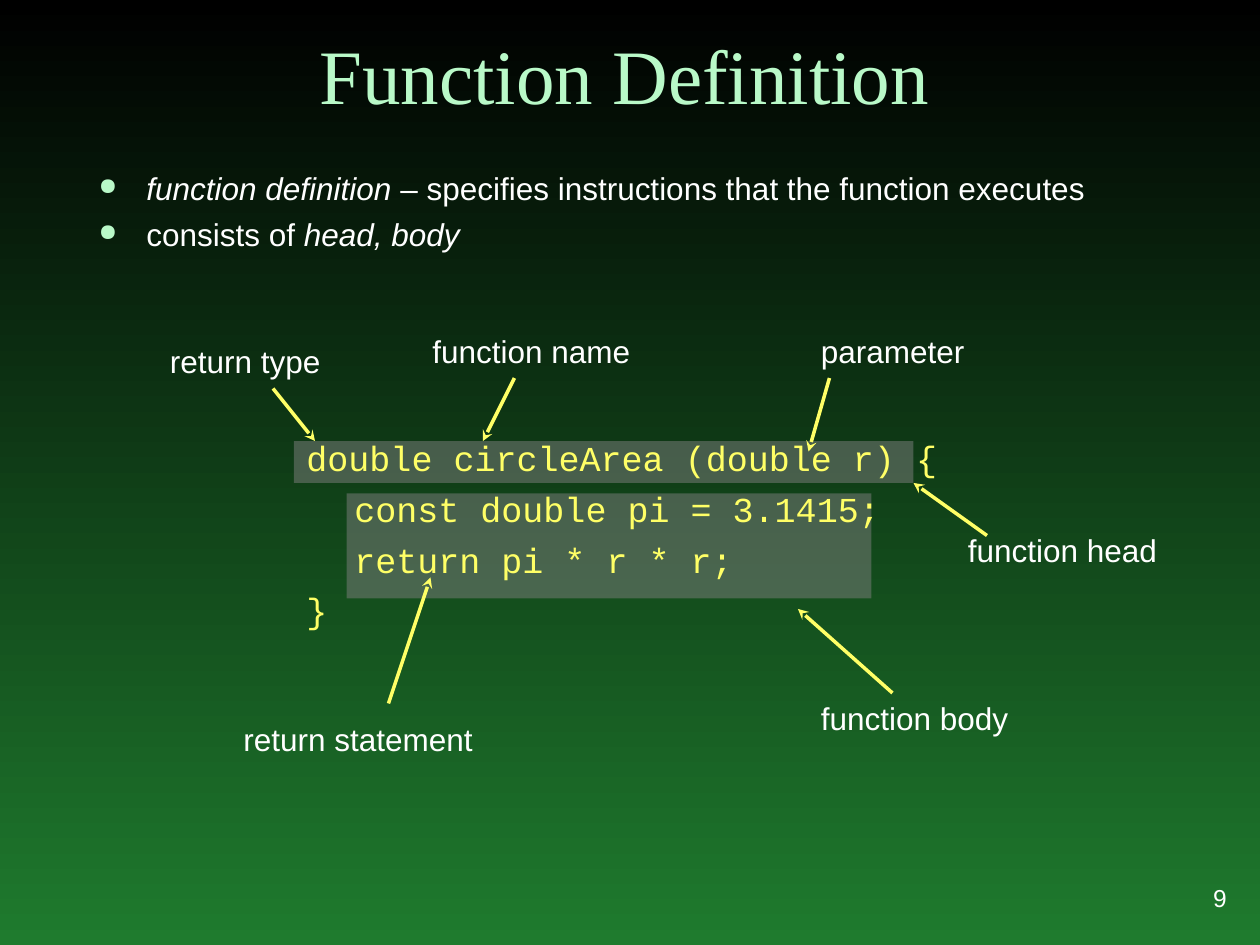
from lxml import etree
from pptx import Presentation, util as u
from pptx.dml import color
from pptx.enum import shapes, text
from pptx.oxml import ns

COLUMNS, ROWS = 120, 90
WIDTH, HEIGHT = u.Inches(10), u.Inches(7.5)
WHITE, MINT, YELLOW, GREY = "FFFFFF", "B9F9C8", "FFFF66", "808080"
BLACK, GREEN = "000000", "1F7B2E"
LABEL = {"name": "Arial", "size": u.Pt(18), "color": WHITE}
CODE = {"name": "Courier New", "size": u.Pt(20), "color": YELLOW}
TITLE = {"name": "Times New Roman", "size": u.Pt(44), "color": MINT}
NUMBER = {"name": "Arial", "size": u.Pt(14), "color": WHITE}
HANGING = {"marL": str(u.Inches(0.38)), "indent": str(-u.Inches(0.38))}


def rgb(value):
    return color.RGBColor.from_string(value)


def across(columns):
    return round(WIDTH * columns / COLUMNS)


def down(rows):
    return round(HEIGHT * rows / ROWS)


def place(box):
    left, top, width, height = box
    return across(left), down(top), across(width), down(height)


def add_element(parent, tag, **attributes):
    return etree.SubElement(parent, ns.qn(tag), attributes)


def set_format(font, values):
    for name, value in values.items():
        if name == "color":
            font.color.rgb = rgb(value)
        else:
            setattr(font, name, value)


def add_run(paragraph, words, values, **changes):
    run = paragraph.add_run()
    run.text = words
    set_format(run.font, {**values, **changes})


def set_space_before(paragraph, percent):
    properties = paragraph._p.get_or_add_pPr()
    spacing = add_element(properties, "a:spcBef")
    add_element(spacing, "a:spcPct", val=str(round(percent * 1000)))
    return properties


def set_hanging(paragraph):
    properties = set_space_before(paragraph, 25)
    for name, value in HANGING.items():
        properties.set(name, value)
    return properties


def add_frame(slide, box):
    frame = slide.shapes.add_textbox(*place(box)).text_frame
    frame.word_wrap = True
    return frame


def add_paragraphs(frame, count):
    return [frame.paragraphs[0]] + [frame.add_paragraph() for _ in range(count - 1)]


def add_background(slide):
    fill = slide.background.fill
    fill.gradient()
    fill.gradient_angle = 270
    for stop, position, value in zip(fill.gradient_stops, (0, 1), (BLACK, GREEN)):
        stop.position = position
        stop.color.rgb = rgb(value)


def add_title(slide, box, words):
    title = slide.shapes.title
    title.left, title.top, title.width, title.height = place(box)
    frame = title.text_frame
    frame.auto_size = text.MSO_AUTO_SIZE.NONE
    frame.vertical_anchor = text.MSO_ANCHOR.BOTTOM
    paragraph = frame.paragraphs[0]
    paragraph.alignment = text.PP_ALIGN.CENTER
    add_run(paragraph, words, TITLE)


def add_bullets(slide, box, items):
    frame = add_frame(slide, box)
    for paragraph, runs in zip(add_paragraphs(frame, len(items)), items):
        properties = set_hanging(paragraph)
        add_element(add_element(properties, "a:buClr"), "a:srgbClr", val=MINT)
        add_element(properties, "a:buSzPct", val="75000")
        add_element(properties, "a:buChar", char="●")
        for words, italic in runs:
            add_run(paragraph, words, LABEL, italic=italic)


def add_highlight(slide, box):
    shape = slide.shapes.add_shape(shapes.MSO_SHAPE.RECTANGLE, *place(box))
    shape.shadow.inherit = False
    shape.line.fill.background()
    shape.fill.solid()
    shape.fill.fore_color.rgb = rgb(GREY)
    add_element(shape._element.spPr.find(".//" + ns.qn("a:srgbClr")), "a:alpha", val="50000")


def add_code(slide, box, lines):
    frame = add_frame(slide, box)
    for paragraph, line in zip(add_paragraphs(frame, len(lines)), lines):
        set_hanging(paragraph)
        add_run(paragraph, line, CODE)


def add_label(slide, box, words):
    frame = add_frame(slide, box)
    frame.auto_size = text.MSO_AUTO_SIZE.SHAPE_TO_FIT_TEXT
    paragraph = frame.paragraphs[0]
    set_space_before(paragraph, 62.5)
    add_run(paragraph, words, LABEL)


def add_arrow(slide, start, end):
    arrow = slide.shapes.add_connector(
        shapes.MSO_CONNECTOR.STRAIGHT,
        across(start[0]), down(start[1]), across(end[0]), down(end[1]))
    arrow.line.color.rgb = rgb(YELLOW)
    arrow.line.width = u.Pt(2)
    add_element(arrow.line._get_or_add_ln(), "a:tailEnd", type="stealth")
    add_element(arrow._element.spPr, "a:effectLst")


def add_number(slide, box, words):
    frame = add_frame(slide, box)
    frame.vertical_anchor = text.MSO_ANCHOR.MIDDLE
    paragraph = frame.paragraphs[0]
    paragraph.alignment = text.PP_ALIGN.RIGHT
    add_run(paragraph, words, NUMBER)


def main():
    presentation = Presentation()
    presentation.slide_width, presentation.slide_height = WIDTH, HEIGHT
    slide = presentation.slides.add_slide(presentation.slide_layouts[5])
    add_background(slide)
    for box in ((33, 47, 50, 10), (28, 42, 59, 4)):
        add_highlight(slide, box)
    add_bullets(slide, (8.2, 15.5, 106, 12), [
        [("function definition ", True),
         ("– specifies instructions that the function executes", False)],
        [("consists of", False), (" head, body", True)],
    ])
    add_title(slide, (8, 3, 103, 9), "Function Definition")
    callouts = [
        ("function body", (77, 66), 30, (85, 66), (76, 58)),
        ("return statement", (22, 68), 30, (37, 67), (41, 55)),
        ("function head", (91, 50), 26, (94, 51), (87, 46)),
        ("parameter", (77, 31), 18, (79, 36), (77, 43)),
        ("return type", (15, 32), 21, (26, 37), (30, 42)),
        ("function name", (40, 31), 30, (49, 36), (46, 42)),
    ]
    for words, corner, width, start, end in callouts:
        add_label(slide, (*corner, width, 4.8), words)
        add_arrow(slide, start, end)
    add_code(slide, (28, 41, 64, 23), [
        "double circleArea (double r) {",
        "\tconst double pi = 3.1415;",
        "\treturn pi * r * r;",
        "}",
    ])
    add_number(slide, (102, 82, 16, 7), "9")
    presentation.save("out.pptx")


if __name__ == "__main__":
    main()
